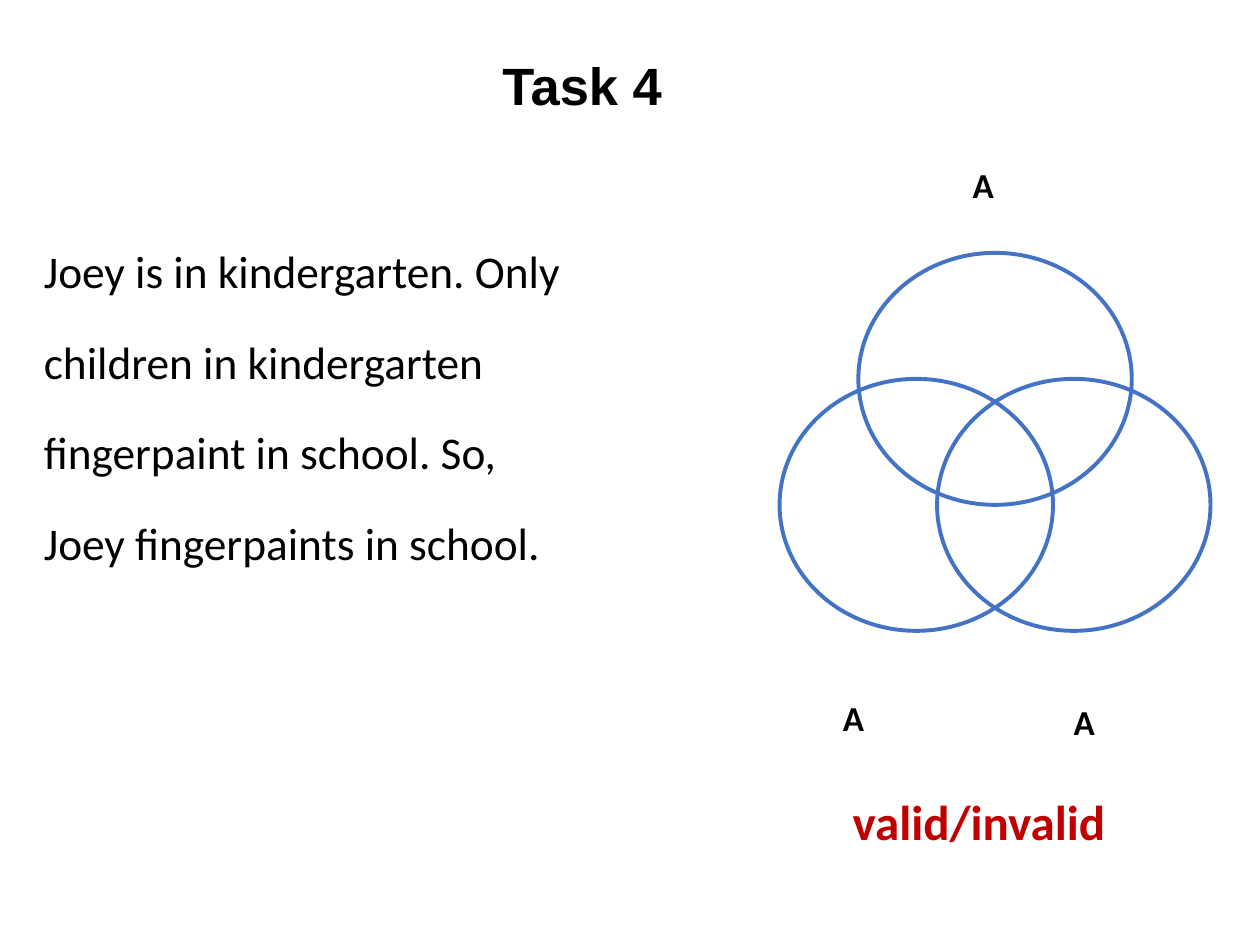
from dataclasses import dataclass

from pptx import Presentation
from pptx.dml.color import RGBColor
from pptx.enum import shapes, text
from pptx.util import Pt


@dataclass(frozen=True)
class Theme:
    ink: str = "000000"
    ring: str = "4472C4"
    mark: str = "C00000"
    head: str = "Arial"
    font: str = "Calibri"
    title: float = 30
    body: float = 25.9
    label: float = 20
    verdict: float = 28
    line: float = 2.25


def write(frame, words, *, font, size, color, bold=False,
          align=text.PP_ALIGN.LEFT, lead=None, top=3.6):
    """Fill a text frame with one formatted paragraph."""
    frame.word_wrap = True
    frame.auto_size = text.MSO_AUTO_SIZE.NONE
    frame.vertical_anchor = text.MSO_ANCHOR.TOP
    frame.margin_left = frame.margin_right = Pt(7.2)
    frame.margin_top, frame.margin_bottom = Pt(top), Pt(3.6)
    para = frame.paragraphs[0]
    para.alignment = align
    para.space_before = Pt(0)
    if lead:
        para.line_spacing = lead
    run = para.add_run()
    run.text = words
    run.font.name, run.font.size, run.font.bold = font, Pt(size), bold
    run.font.color.rgb = RGBColor.from_string(color)


class Page:
    def __init__(self, slide, theme):
        self.slide, self.theme = slide, theme

    def title(self, words, x, y, w, h):
        box = self.slide.shapes.title
        box.left, box.top, box.width, box.height = map(Pt, (x, y, w, h))
        write(box.text_frame, words, font=self.theme.head,
              size=self.theme.title, color=self.theme.ink, bold=True,
              align=text.PP_ALIGN.CENTER, lead=1.0, top=6)

    def text(self, words, x, y, w, h, **style):
        box = self.slide.shapes.add_textbox(*map(Pt, (x, y, w, h)))
        look = {"font": self.theme.font, "color": self.theme.ink, **style}
        write(box.text_frame, words, **look)

    def label(self, words, x, y):
        self.text(words, x, y, 52.5, 31.5, size=self.theme.label,
                  bold=True, align=text.PP_ALIGN.CENTER)

    def ring(self, x, y, w, h):
        oval = self.slide.shapes.add_shape(
            shapes.MSO_SHAPE.OVAL, *map(Pt, (x, y, w, h)))
        oval.shadow.inherit = False
        oval.fill.background()
        oval.line.color.rgb = RGBColor.from_string(self.theme.ring)
        oval.line.width = Pt(self.theme.line)


def main():
    deck = Presentation()
    deck.slide_width, deck.slide_height = Pt(720), Pt(540)
    theme = Theme()
    page = Page(deck.slides.add_slide(deck.slide_layouts[5]), theme)

    # Heading and argument
    page.title("Task 4", 103, 24.5, 459.4, 27.4)
    page.text("Joey is in kindergarten. Only children in kindergarten "
              "ﬁngerpaint in school. So, Joey ﬁngerpaints in school.",
              18, 114.5, 314.6, 245.5, size=theme.body, lead=1.67)

    # Venn diagram: the top ring sits midway, half a ring above the others
    left, top, wide, high, step = 445.5, 144.5, 156.25, 144, 90
    for col, row in ((0, 1), (1, 1), (0.5, 0)):
        page.ring(left + col * step, top + row * high / 2, wide, high)
    for x, y in ((535.7, 90), (461.5, 394.6), (593.3, 396.7)):
        page.label("A", x, y)

    # Verdict
    page.text("valid/invalid", 480.2, 449, 216.7, 41,
              size=theme.verdict, color=theme.mark, bold=True)

    deck.save("out.pptx")


if __name__ == "__main__":
    main()
